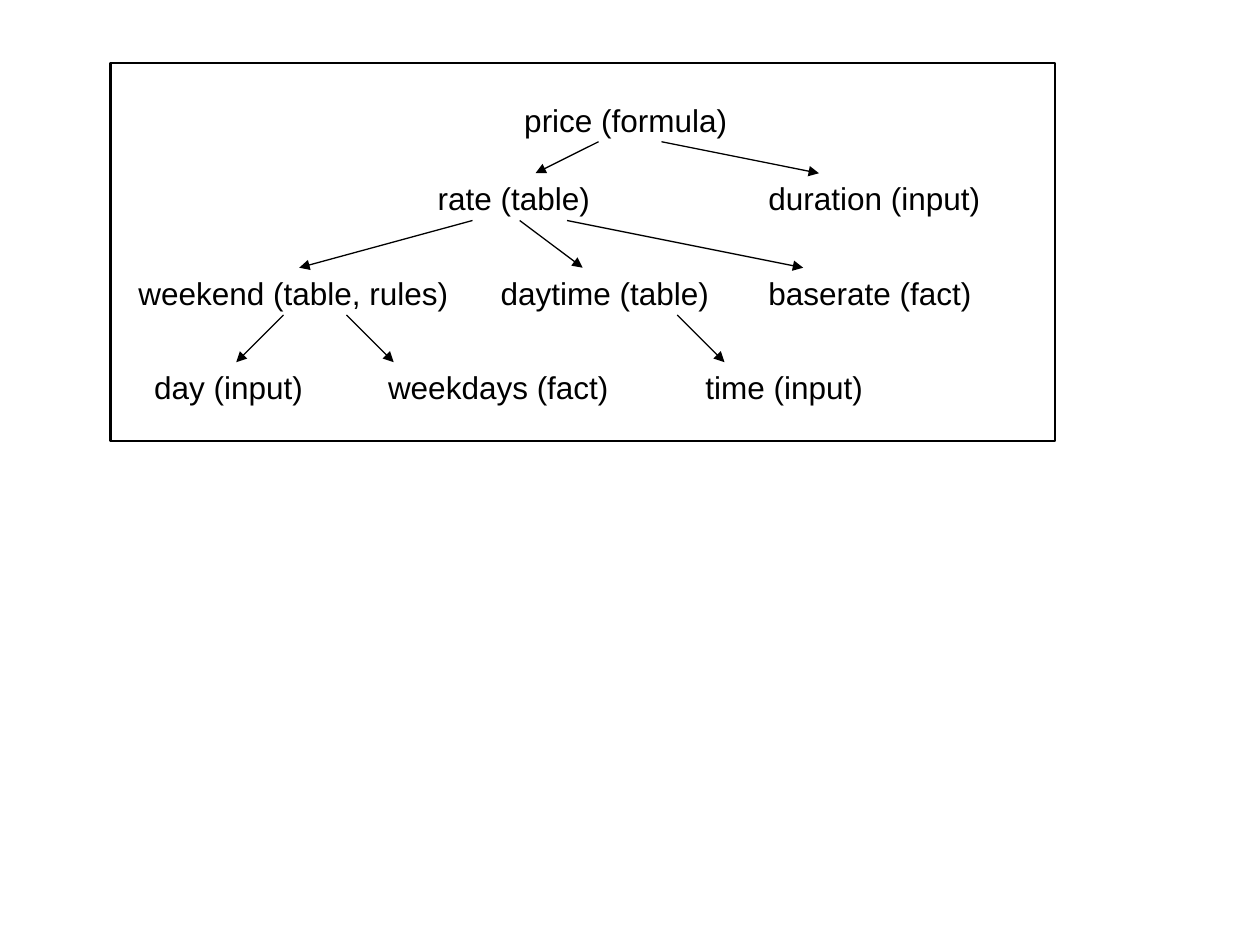
"""Build a slide with the dependency tree of a price formula."""

from dataclasses import dataclass

import pptx
import pptx.dml.color
import pptx.enum.shapes
import pptx.enum.text
import pptx.oxml
import pptx.oxml.ns
import pptx.presentation
import pptx.shapes.autoshape
import pptx.shapes.connector
import pptx.slide
import pptx.util

BLACK = pptx.dml.color.RGBColor(0x00, 0x00, 0x00)
FONT = "Arial"
CELL = pptx.util.Inches(0.125)
COLUMNS, ROWS = 80, 60
LABEL_ROWS = 3.2
LEVEL_ROWS = (6, 11, 17, 23)
ARROW_GAP = 3


@dataclass(frozen=True)
class Node:
    """A label of the tree, placed by level and grid columns."""

    text: str
    level: int
    column: float
    columns: float


@dataclass(frozen=True)
class Arrow:
    """An arrow from a level down to the next one."""

    level: int
    start_column: float
    end_column: float


NODES = (
    Node("price (formula)", 0, 32.5, 14.5),
    Node("rate (table)", 1, 27, 11.3),
    Node("duration (input)", 1, 48, 15.2),
    Node("weekend (table, rules)", 2, 8, 21.3),
    Node("daytime (table)", 2, 31, 14.8),
    Node("baserate (fact)", 2, 48, 14.5),
    Node("day (input)", 3, 9, 11.2),
    Node("weekdays (fact)", 3, 23.85, 15.6),
    Node("time (input)", 3, 44, 11.6),
)

ARROWS = (
    Arrow(0, 38, 34),
    Arrow(0, 42, 52),
    Arrow(1, 30, 19),
    Arrow(1, 33, 37),
    Arrow(1, 36, 51),
    Arrow(2, 18, 15),
    Arrow(2, 22, 25),
    Arrow(2, 43, 46),
)


def cells(count: float) -> pptx.util.Emu:
    """Return the length of a number of grid cells."""
    return pptx.util.Emu(round(count * CELL))


def write_text(
    shape: pptx.shapes.autoshape.Shape,
    text: str,
    *,
    size: float = 18,
    font: str = FONT,
    color: pptx.dml.color.RGBColor = BLACK,
) -> None:
    """Write one unwrapped line of text into a shape."""
    frame = shape.text_frame
    frame.word_wrap = False
    frame.auto_size = pptx.enum.text.MSO_AUTO_SIZE.SHAPE_TO_FIT_TEXT
    run = frame.paragraphs[0].add_run()
    run.text = text
    run.font.size = pptx.util.Pt(size)
    run.font.name = font
    run.font.color.rgb = color


def draw_frame(slide: pptx.slide.Slide) -> None:
    """Draw the unfilled border around the tree."""
    frame = slide.shapes.add_shape(
        pptx.enum.shapes.MSO_SHAPE.RECTANGLE, cells(7), cells(4), cells(60), cells(24)
    )
    frame.shadow.inherit = False
    frame.fill.background()
    frame.line.color.rgb = BLACK
    frame.line.width = pptx.util.Pt(1.5)


def draw_node(slide: pptx.slide.Slide, node: Node) -> None:
    """Draw the label of a node."""
    label = slide.shapes.add_textbox(
        cells(node.column),
        cells(LEVEL_ROWS[node.level]),
        cells(node.columns),
        cells(LABEL_ROWS),
    )
    write_text(label, node.text)


def draw_arrow(slide: pptx.slide.Slide, arrow: Arrow) -> pptx.shapes.connector.Connector:
    """Draw an arrow between two neighbouring levels."""
    connector = slide.shapes.add_connector(
        pptx.enum.shapes.MSO_CONNECTOR.STRAIGHT,
        cells(arrow.start_column),
        cells(LEVEL_ROWS[arrow.level] + ARROW_GAP),
        cells(arrow.end_column),
        cells(LEVEL_ROWS[arrow.level + 1]),
    )
    connector.line.color.rgb = BLACK
    connector.line.width = pptx.util.Pt(0.75)
    namespace = pptx.oxml.ns.nsdecls("a")
    properties = connector.element.spPr
    line = properties.find(pptx.oxml.ns.qn("a:ln"))
    line.append(pptx.oxml.parse_xml(f'<a:tailEnd {namespace} type="triangle"/>'))
    properties.append(pptx.oxml.parse_xml(f"<a:effectLst {namespace}/>"))
    return connector


def main() -> None:
    """Build and save the presentation."""
    presentation = pptx.Presentation()
    presentation.slide_width = cells(COLUMNS)
    presentation.slide_height = cells(ROWS)
    slide = presentation.slides.add_slide(presentation.slide_layouts[6])
    draw_frame(slide)
    for node in NODES:
        draw_node(slide, node)
    for arrow in ARROWS:
        draw_arrow(slide, arrow)
    presentation.save("out.pptx")


if __name__ == "__main__":
    main()
